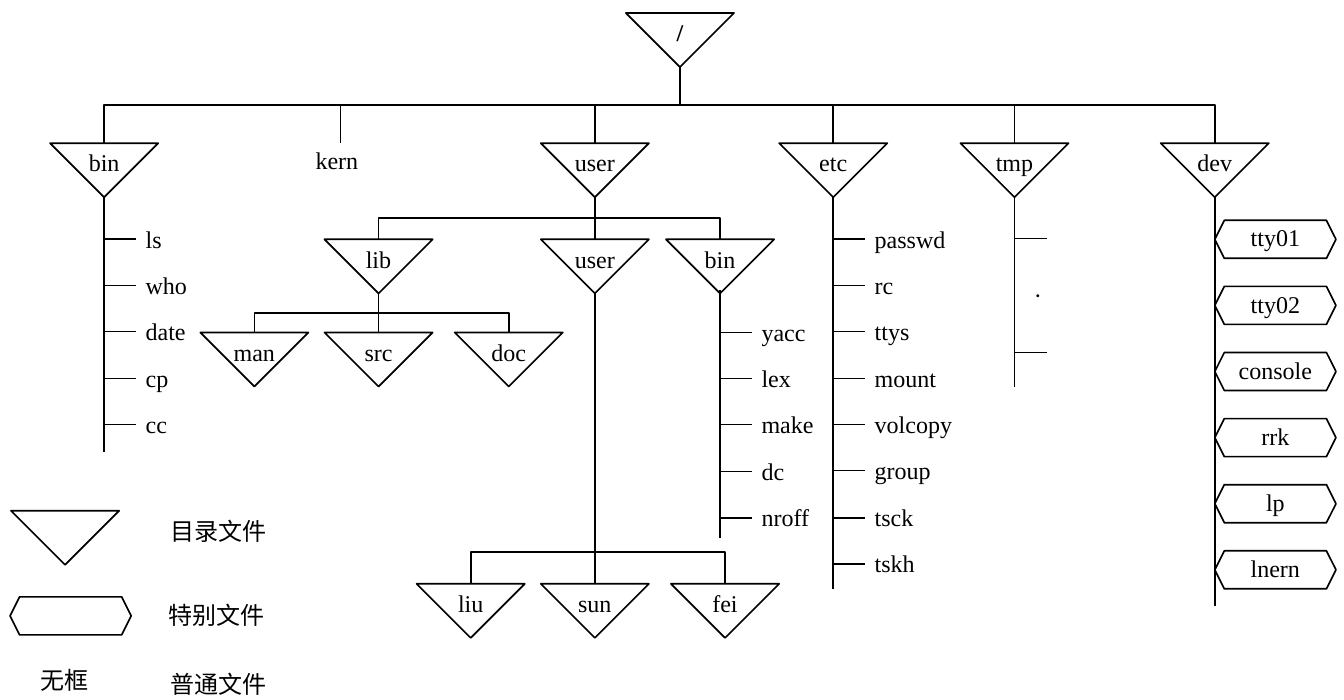
"""Draw a file system tree with its directories, ordinary files and special files."""
from lxml.etree import SubElement
from pptx import Presentation
from pptx.dml.color import RGBColor
from pptx.enum.shapes import MSO_CONNECTOR, MSO_SHAPE
from pptx.enum.text import MSO_ANCHOR, MSO_AUTO_SIZE, PP_ALIGN
from pptx.oxml.ns import qn
from pptx.util import Pt

EMU_PER_PX = 9525
BLACK = RGBColor(0, 0, 0)
LATIN, LEGEND = "Times New Roman", "Calibri"
DIR_W, DIR_H = 108, 54
SPECIAL_W, SPECIAL_H = 121, 38
LABEL_W, LABEL_H = 65, 38
TICK = 32


def px(length):
    return round(length * EMU_PER_PX)


class TreeSlide:
    def __init__(self, slide):
        self.shapes = slide.shapes

    def style_line(self, shape):
        shape.line.color.rgb = BLACK
        shape.line.width = Pt(1.25)

    def style_text(self, frame, text, font=LATIN, align=PP_ALIGN.CENTER, bold=False):
        frame.text = text
        paragraph = frame.paragraphs[0]
        paragraph.alignment = align
        paragraph.font.name = font
        paragraph.font.size = Pt(18)
        paragraph.font.bold = bold
        paragraph.font.color.rgb = BLACK

    def label(self, text, x, y, width, shapes=None, **style):
        box = (shapes or self.shapes).add_textbox(px(x), px(y), px(width), px(LABEL_H))
        box.text_frame.word_wrap = True
        box.text_frame.auto_size = MSO_AUTO_SIZE.SHAPE_TO_FIT_TEXT
        self.style_text(box.text_frame, text, **style)

    def outline(self, kind, x, y, width, height, shapes=None):
        shape = (shapes or self.shapes).add_shape(kind, px(x), px(y), px(width), px(height))
        shape.shadow.inherit = False
        shape.fill.background()
        self.style_line(shape)
        return shape

    def triangle(self, center, y, shapes=None):
        shape = self.outline(MSO_SHAPE.ISOSCELES_TRIANGLE, center - DIR_W / 2, y, DIR_W, DIR_H, shapes)
        shape._element.spPr.find(qn("a:xfrm")).set("flipV", "1")

    def directory(self, name, center, y, bold=False):
        members = self.shapes.add_group_shape().shapes
        self.triangle(center, y, members)
        self.label(name, center - LABEL_W / 2, y, LABEL_W, members, bold=bold)

    def special(self, name, x, y):
        shape = self.outline(MSO_SHAPE.HEXAGON, x, y, SPECIAL_W, SPECIAL_H)
        if name:
            frame = shape.text_frame
            frame.margin_left = frame.margin_right = frame.margin_top = 0
            frame.margin_bottom = px(4)
            frame.vertical_anchor = MSO_ANCHOR.MIDDLE
            frame.word_wrap = False
            self.style_text(frame, name)

    def line(self, x1, y1, x2, y2, kind=MSO_CONNECTOR.STRAIGHT):
        connector = self.shapes.add_connector(kind, px(x1), px(y1), px(x2), px(y2))
        self.style_line(connector)
        properties = connector._element.spPr
        SubElement(properties, qn("a:effectLst"))
        return properties

    def branch(self, parent, top, child, bottom, bend=50):
        """Join two directories by an elbow that leaves and arrives vertically."""
        middle_x, middle_y = (parent + child) / 2, (top + bottom) / 2
        half_w, half_h = (bottom - top) / 2, (child - parent) / 2
        properties = self.line(middle_x - half_w, middle_y + half_h,
                               middle_x + half_w, middle_y - half_h, MSO_CONNECTOR.ELBOW)
        properties.find(qn("a:xfrm")).set("rot", "5400000")
        geometry = properties.find(qn("a:prstGeom"))
        guides = geometry.find(qn("a:avLst"))
        if guides is None:
            guides = SubElement(geometry, qn("a:avLst"))
        SubElement(guides, qn("a:gd"), name="adj1", fmla=f"val {bend * 1000}")

    def files(self, names, trunk, top, first, bottom):
        self.line(trunk, top, trunk, bottom)
        for i, name in enumerate(names):
            y = first + i * 139 // 3
            self.line(trunk, y, trunk + TICK, y)
            self.label(name, trunk + TICK, y - 20, 110, align=PP_ALIGN.LEFT)


def main():
    deck = Presentation()
    deck.slide_width, deck.slide_height = px(1342), px(699)
    tree = TreeSlide(deck.slides.add_slide(deck.slide_layouts[6]))

    root, kernel, user, lib = 679, 340, 594, 378
    bin_dir, etc, tmp, dev, user_bin = 104, 832, 1013, 1213, 719

    tree.directory("/", root, 13, bold=True)
    tree.branch(root, 67, kernel, 143)
    tree.label("kern", 304, 141, LABEL_W)

    levels = [
        (root, 67, 143, 50, {"bin": bin_dir, "user": user, "etc": etc, "tmp": tmp, "dev": dev}),
        (user, 196, 239, 50, {"lib": lib, "user": user, "bin": user_bin}),
        (lib, 293, 332, 50, {"man": 254, "src": lib, "doc": 508}),
        (user, 293, 583, 89, {"liu": 470, "sun": user, "fei": 724}),
    ]
    for parent, top, bottom, bend, children in levels:
        for name, center in children.items():
            tree.branch(parent, top, center, bottom, bend)
            tree.directory(name, center, bottom)

    tree.files(["ls", "who", "date", "cp", "cc"], bin_dir, 196, 239, 451)
    tree.files(["passwd", "rc", "ttys", "mount", "volcopy", "group", "tsck", "tskh"],
               etc, 196, 239, 588)
    tree.files(["yacc", "lex", "make", "dc", "nroff"], user_bin, 290, 332, 537)

    tree.line(tmp, 196, tmp, 386)
    for y in (238, 352):
        tree.line(tmp, y, tmp + TICK, y)
    tree.label(".", 1024, 268, 111, font=LEGEND, align=PP_ALIGN.LEFT)

    tree.line(dev, 196, dev, 605)
    for i, device in enumerate(["tty01", "tty02", "console", "rrk", "lp", "lnern"]):
        tree.special(device, dev, 220 + 66 * i)

    tree.triangle(65, 510)
    tree.special("", 10, 596)
    for text, x, y in [("无框", 31, 660), ("目录文件", 161, 511),
                       ("特别文件", 159, 595), ("普通文件", 161, 664)]:
        tree.label(text, x, y, 131, font=LEGEND, align=PP_ALIGN.LEFT)

    deck.save("out.pptx")


if __name__ == "__main__":
    main()
